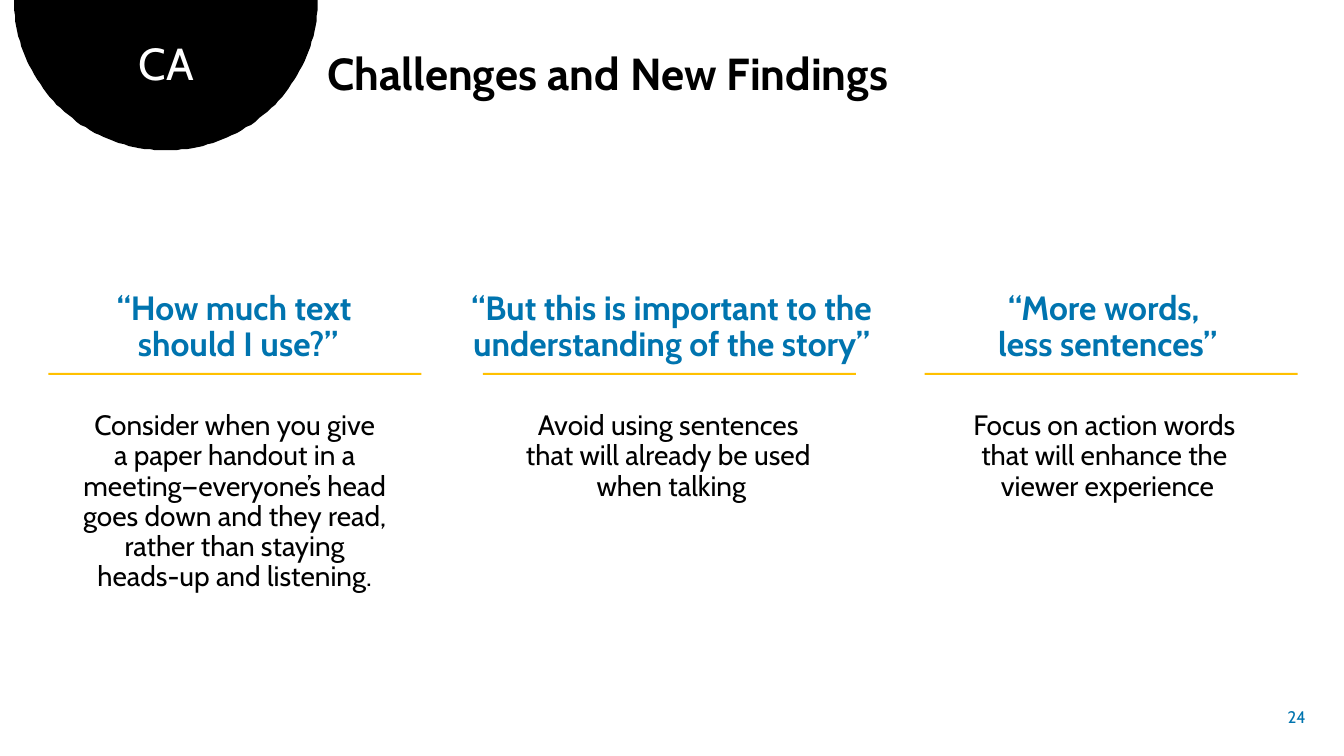
import math
import pptx
import pptx.util
import pptx.dml.color
import pptx.enum.text
import pptx.enum.shapes

TAG = "CA"
TITLE = "Challenges and New Findings"
PAGE = "24"
COLS = [
    {"box": (33, 284, 406, 321), "bar": 48,
     "head": "“How much text \nshould I use?”",
     "body": "Consider when you give \na paper handout in a \nmeeting—everyone’s head \n"
             "goes down and they read, \nrather than staying \nheads-up and listening. "},
    {"box": (456, 284, 420, 221), "bar": 479,
     "head": "“But this is important to the understanding of the story”",
     "body": "Avoid using sentences \nthat will already be used \nwhen talking"},
    {"box": (892, 284, 413, 221), "bar": 917,
     "head": "“More words, \nless sentences”",
     "body": "Focus on action words \nthat will enhance the \nviewer experience"},
]
THEME = {
    "font": "Cabin", "black": "000000", "white": "FFFFFF", "blue": "0074AF", "gold": "FFC000",
    "title": 32, "head": 24, "body": 20, "page": 12,
}
PX = 9144
ALIGN = pptx.enum.text.PP_ALIGN
MID = pptx.enum.text.MSO_ANCHOR.MIDDLE

deck = pptx.Presentation()
deck.slide_width = 1333 * PX
deck.slide_height = 750 * PX
slide = deck.slides.add_slide(deck.slide_layouts[6])


def rgb(name):
    return pptx.dml.color.RGBColor.from_string(THEME[name])


def paint(shape, color):
    shape.shadow.inherit = False
    shape.fill.solid()
    shape.fill.fore_color.rgb = rgb(color)
    shape.line.fill.background()


def frame(box):
    text = slide.shapes.add_textbox(*(n * PX for n in box)).text_frame
    text.word_wrap = True
    return text


def write(par, words, size, color, bold=False, align=ALIGN.LEFT, lead=0.9,
          before=0, after=0, track=0):
    par.text = words
    par.alignment = align
    par.line_spacing = lead
    par.space_before = pptx.util.Pt(before)
    par.space_after = pptx.util.Pt(after)
    for run in par.runs:
        run.font.name = THEME["font"]
        run.font.size = pptx.util.Pt(THEME[size])
        run.font.bold = bold
        run.font.color.rgb = rgb(color)
        if track:
            run._r.get_or_add_rPr().set("spc", str(track))


def arc(mid, wide, high, steps=90):
    turns = [math.pi * i / steps for i in range(steps + 1)]
    return [(mid + wide * math.cos(t), high * math.sin(t)) for t in turns]


dots = arc(164.5, 150.5, 149)
pen = slide.shapes.build_freeform(*dots[0], scale=PX)
pen.add_line_segments(dots[1:], close=True)
paint(pen.convert_to_shape(), "black")

for col in COLS:
    text = frame(col["box"])
    write(text.paragraphs[0], col["head"], "head", "blue", bold=True,
          align=ALIGN.CENTER, after=24)
    write(text.add_paragraph(), col["body"], "body", "black",
          align=ALIGN.CENTER, before=10, after=12)
    bar = slide.shapes.add_shape(pptx.enum.shapes.MSO_SHAPE.RECTANGLE,
                                 col["bar"] * PX, 370 * PX, 370 * PX, 2 * PX)
    paint(bar, "gold")

write(frame((35, 37, 260, 59)).paragraphs[0], TAG, "title", "white",
      align=ALIGN.CENTER, track=60)
write(frame((315, 46, 993, 59)).paragraphs[0], TITLE, "title", "black", bold=True)
foot = frame((1250, 691, 55, 40))
foot.vertical_anchor = MID
write(foot.paragraphs[0], PAGE, "page", "blue", align=ALIGN.RIGHT, lead=1.0)

deck.save("out.pptx")
